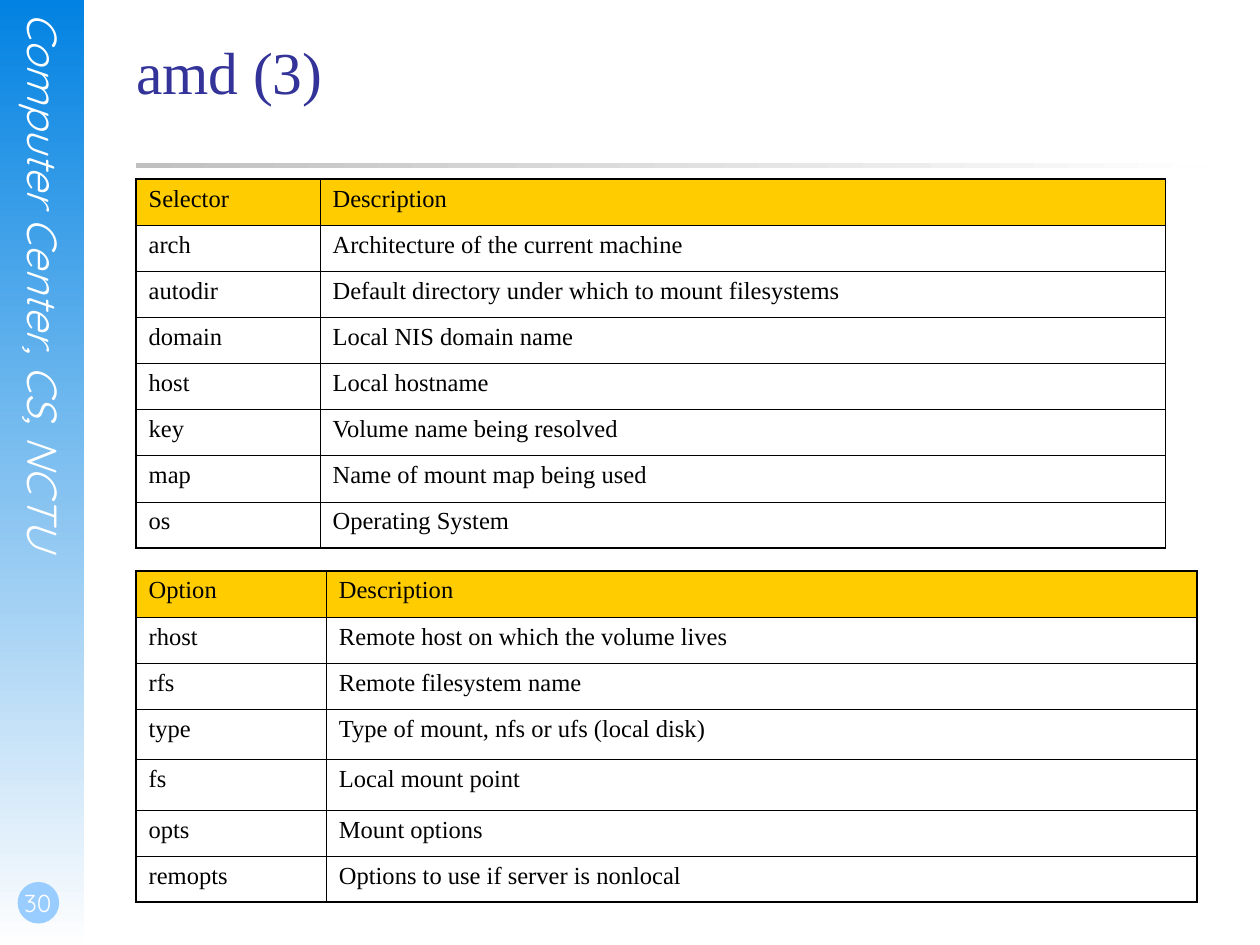
from dataclasses import dataclass

from lxml.etree import SubElement
from pptx import Presentation
from pptx.dml.color import RGBColor
from pptx.enum.shapes import MSO_SHAPE
from pptx.enum.text import MSO_ANCHOR, PP_ALIGN
from pptx.oxml.ns import qn
from pptx.util import Inches, Pt

COLORS = {
    "sidebar_top": "0282E2",
    "fade": "FEFEFE",
    "badge": "99CCFF",
    "rule": "C0C0C0",
    "title": "333399",
    "header": "FFCC00",
    "text": "000000",
    "white": "FFFFFF",
}
SERIF = "Times New Roman"
SANS = "Quicksand"
LEFT = Inches(1.08)
ROW_HEIGHT = Inches(2.93) // 8
TALL_ROW_HEIGHT = Inches(0.4)
OUTER_BORDER = Pt(1.08)
INNER_BORDER = Pt(0.45)


@dataclass
class TableSpec:
    top: float
    widths: tuple[float, float]
    rows: list[tuple[str, str]]
    tall_rows: tuple[int, ...] = ()


TABLES = [
    TableSpec(1.42, (1.46, 6.71), [
        ("Selector", "Description"),
        ("arch", "Architecture of the current machine"),
        ("autodir", "Default directory under which to mount filesystems"),
        ("domain", "Local NIS domain name"),
        ("host", "Local hostname"),
        ("key", "Volume name being resolved"),
        ("map", "Name of mount map being used"),
        ("os", "Operating System"),
    ]),
    TableSpec(4.53, (1.51, 6.91), [
        ("Option", "Description"),
        ("rhost", "Remote host on which the volume lives"),
        ("rfs", "Remote filesystem name"),
        ("type", "Type of mount, nfs or ufs (local disk)"),
        ("fs", "Local mount point"),
        ("opts", "Mount options"),
        ("remopts", "Options to use if server is nonlocal"),
    ], tall_rows=(3, 4)),
]


def rgb(name: str) -> RGBColor:
    return RGBColor.from_string(COLORS[name])


def write_text(frame, text: str, *, size: float, font: str, color: str,
               italic: bool = False, align=PP_ALIGN.LEFT) -> None:
    frame.text = text
    paragraph = frame.paragraphs[0]
    paragraph.alignment = align
    paragraph.font.size = Pt(size)
    paragraph.font.name = font
    paragraph.font.italic = italic
    paragraph.font.color.rgb = rgb(color)


def set_frame(frame, anchor=MSO_ANCHOR.TOP, left: float = 0, bottom: float = 0) -> None:
    """Wrap the text and set its anchor and margins, zero unless given."""
    frame.word_wrap = True
    frame.vertical_anchor = anchor
    frame.margin_left, frame.margin_bottom = Inches(left), Inches(bottom)
    frame.margin_top = frame.margin_right = 0


def add_plain_shape(slide, kind, left: float, top: float, width: float, height: float):
    """Add a shape without outline or shadow."""
    shape = slide.shapes.add_shape(
        kind, Inches(left), Inches(top), Inches(width), Inches(height))
    shape.shadow.inherit = False
    shape.line.fill.background()
    return shape


def fill_gradient(shape, start: str, end: str, angle: float) -> None:
    """Fill from start to end; the angle runs counter-clockwise."""
    shape.fill.gradient()
    shape.fill.gradient_angle = angle
    for stop, color, position in zip(shape.fill.gradient_stops, (start, end), (0, 1)):
        stop.color.rgb = rgb(color)
        stop.position = position


def set_borders(cell, widths: dict[str, int]) -> None:
    properties = cell._tc.get_or_add_tcPr()
    for index, (side, width) in enumerate(widths.items()):
        line = SubElement(properties, qn(f"a:ln{side}"), w=str(width))
        fill = SubElement(line, qn("a:solidFill"))
        SubElement(fill, qn("a:srgbClr"), val=COLORS["text"])
        properties.insert(index, line)


def add_table(slide, table_spec: TableSpec) -> None:
    heights = [TALL_ROW_HEIGHT if index in table_spec.tall_rows else ROW_HEIGHT
               for index in range(len(table_spec.rows))]
    table = slide.shapes.add_table(
        len(heights), 2, LEFT, Inches(table_spec.top),
        Inches(sum(table_spec.widths)), sum(heights)).table
    table.first_row = table.horz_banding = False
    for column, width in zip(table.columns, table_spec.widths):
        column.width = Inches(width)
    last_row = len(heights) - 1
    for row_index, row in enumerate(table_spec.rows):
        table.rows[row_index].height = heights[row_index]
        for column_index, text in enumerate(row):
            cell = table.cell(row_index, column_index)
            write_text(cell.text_frame, text, size=14, font=SERIF, color="text")
            if row_index == 0:
                cell.fill.solid()
                cell.fill.fore_color.rgb = rgb("header")
            else:
                cell.fill.background()
            on_edge = {"L": column_index == 0, "R": column_index == 1,
                       "T": row_index == 0, "B": row_index == last_row}
            set_borders(cell, {side: OUTER_BORDER if outer else INNER_BORDER
                               for side, outer in on_edge.items()})


def add_sidebar(slide) -> None:
    sidebar = add_plain_shape(slide, MSO_SHAPE.RECTANGLE, 0, 0, 0.67, 7.5)
    fill_gradient(sidebar, "sidebar_top", "fade", 270)

    label = slide.shapes.add_textbox(
        Inches(0.15), Inches(0.1), Inches(0.4), Inches(5.11)).text_frame
    set_frame(label)
    label._txBody.bodyPr.set("vert", "eaVert")
    write_text(label, "Computer Center, CS, NCTU", size=24, font=SANS,
               color="white", italic=True)

    badge = add_plain_shape(slide, MSO_SHAPE.OVAL, 0.14, 7, 0.33, 0.33)
    badge.fill.solid()
    badge.fill.fore_color.rgb = rgb("badge")
    number = slide.shapes.add_textbox(
        0, Inches(6.83), Inches(0.58), Inches(0.5)).text_frame
    set_frame(number, MSO_ANCHOR.BOTTOM, left=0.02, bottom=0.05)
    write_text(number, "30", size=14, font=SANS, color="white", align=PP_ALIGN.CENTER)


def add_title(slide) -> None:
    rule = add_plain_shape(slide, MSO_SHAPE.RECTANGLE, 1.08, 1.29, 8.5, 0.04)
    fill_gradient(rule, "fade", "rule", 180)

    title = slide.shapes.title
    title.left, title.top = LEFT, Inches(0.28)
    title.width, title.height = Inches(8.5), Inches(1.25)
    set_frame(title.text_frame)
    write_text(title.text_frame, "amd (3)", size=34, font=SERIF, color="title")
    title.element.getparent().append(title.element)  # in front of the rule


def main() -> None:
    presentation = Presentation()
    presentation.slide_width, presentation.slide_height = Inches(10), Inches(7.5)
    slide = presentation.slides.add_slide(presentation.slide_layouts[5])
    add_sidebar(slide)
    add_title(slide)
    for table_spec in TABLES:
        add_table(slide, table_spec)
    presentation.save("out.pptx")


if __name__ == "__main__":
    main()
